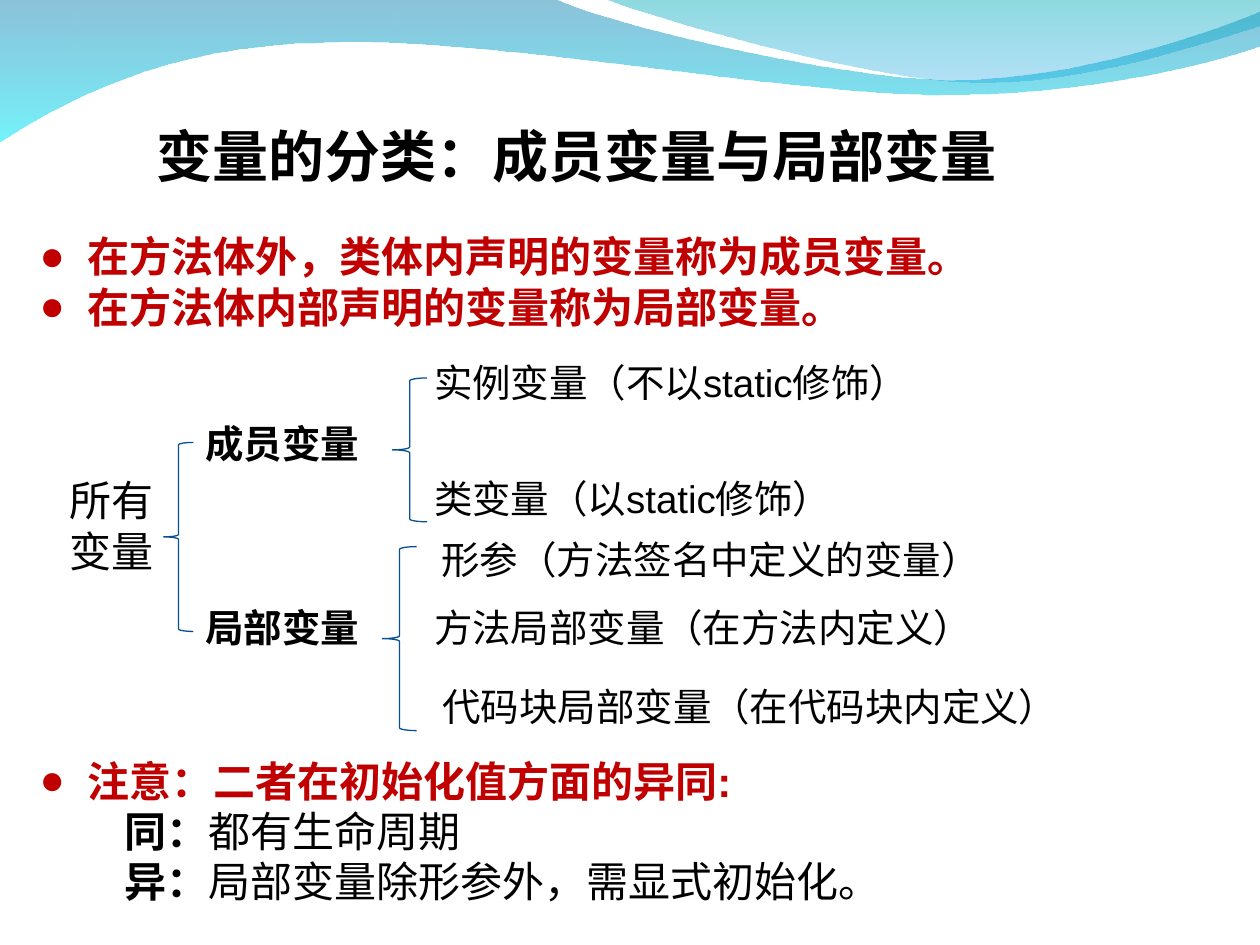
"""Build a slide that sorts variables into member and local variables."""
from dataclasses import dataclass
from typing import NamedTuple

from lxml.etree import SubElement
from pptx import Presentation
from pptx.dml.color import RGBColor
from pptx.enum.shapes import MSO_SHAPE
from pptx.oxml.ns import qn
from pptx.util import Cm, Pt

BLACK, RED, BLUE = "000000", "C00000", "065093"
FONT = "Arial"


class Span(NamedTuple):
    text: str
    bold: bool = False
    color: str = BLACK


@dataclass
class Line:
    spans: list[Span]
    bullet: bool = False
    indent: float = 0
    before: float = 0


@dataclass
class TextBlock:
    left: float
    top: float
    width: float
    height: float
    size: float
    lines: list[Line]


class Brace(NamedTuple):
    left: float
    top: float
    width: float
    height: float


class Stop(NamedTuple):
    color: str
    opacity: int


@dataclass
class Wave:
    start: tuple
    segments: list[tuple]
    stops: list[Stop]


def label(left: float, top: float, width: float, text: str, bold: bool = False) -> TextBlock:
    return TextBlock(left, top, width, 1.19, 22, [Line([Span(text, bold)])])


def bullet(text: str, before: float = 0) -> Line:
    return Line([Span(text, True, RED)], bullet=True, before=before)


def remark(head: str, text: str) -> Line:
    return Line([Span(head, True), Span(text)], indent=1.72)


WAVES = [
    Wave((0, -0.03), [
        ((11.18, -0.03),),
        ((12.09, 0.43), (16.87, 1.6), (19.25, 1.6)),
        ((21.67, 1.6), (24.33, 0.66), (25.4, 0.23)),
        ((25.43, 0.91),),
        ((24.97, 1.12), (22.1, 1.93), (18.95, 1.91)),
        ((15.8, 1.91), (9.7, 0.71), (6.53, 0.86)),
        ((3.28, 0.89), (1.17, 2.11), (-0.03, 2.87)),
        ((0, -0.03),),
    ], [Stop("0079AF", 45), Stop("00EBF8", 55)]),
    Wave((12.17, -0.03), [
        ((12.93, 0.28), (17.32, 1.57), (19.53, 1.65)),
        ((21.74, 1.75), (24.41, 0.81), (25.4, 0.53)),
        ((25.4, 0),),
        ((12.17, -0.03),),
    ], [Stop("00ADB6", 45), Stop("009BE5", 30)]),
]

BRACES = [
    Brace(3.3, 8.92, 0.6, 3.81),
    Brace(7.91, 7.62, 0.7, 2.9),
    Brace(7.71, 11.02, 0.69, 3.71),
]

TEXTS = [
    TextBlock(2.9, 2.32, 20.4, 1.63, 32, [Line([Span("变量的分类：成员变量与局部变量", True)])]),
    TextBlock(0.55, 4.53, 23.22, 13.89, 24, [
        bullet("在方法体外，类体内声明的变量称为成员变量。"),
        bullet("在方法体内部声明的变量称为局部变量。"),
        bullet("注意：二者在初始化值方面的异同:", before=242),
        remark("同：", "都有生命周期"),
        remark("异：", "局部变量除形参外，需显式初始化。"),
    ]),
    label(3.89, 8.34, 4.19, "成员变量", True),
    label(3.89, 12.05, 4.19, "局部变量", True),
    label(8.5, 7.11, 12.6, "实例变量（不以static修饰）"),
    label(8.5, 9.45, 12.6, "类变量（以static修饰）"),
    label(8.65, 10.68, 12.6, "形参（方法签名中定义的变量）"),
    label(8.5, 12.05, 12.6, "方法局部变量（在方法内定义）"),
    label(8.67, 13.64, 13.64, "代码块局部变量（在代码块内定义）"),
    TextBlock(1.15, 9.45, 2.34, 2.29, 24, [Line([Span("所有")]), Line([Span("变量")])]),
]


def paint(color_format, value: str) -> None:
    color_format.rgb = RGBColor.from_string(value)


def bend(shape, segments: list[tuple]) -> None:
    steps = iter(list(shape.element.iter(qn("a:lnTo"))))
    for segment in segments:
        first, *others = [next(steps) for _ in segment]
        if others:
            first.tag = qn("a:cubicBezTo")
        for step in others:
            first.append(step[0])
            step.getparent().remove(step)


def draw_wave(page, wave: Wave) -> None:
    points = [(Cm(x), Cm(y)) for segment in wave.segments for x, y in segment]
    builder = page.shapes.build_freeform(*map(Cm, wave.start))
    builder.add_line_segments(points, close=True)
    shape = builder.convert_to_shape()
    bend(shape, wave.segments)
    shape.shadow.inherit = False
    shape.line.fill.background()
    shape.fill.gradient()
    shape.fill.gradient_angle = 270
    for position, (target, stop) in enumerate(zip(shape.fill.gradient_stops, wave.stops)):
        target.position = position
        paint(target.color, stop.color)
    colors = shape.element.spPr.iter(qn("a:srgbClr"))
    for color, stop in zip(list(colors), wave.stops):
        SubElement(color, qn("a:alpha"), val=str(stop.opacity * 1000))


def draw_brace(page, brace: Brace) -> None:
    shape = page.shapes.add_shape(MSO_SHAPE.LEFT_BRACE, *map(Cm, brace))
    shape.shadow.inherit = False
    shape.fill.background()
    paint(shape.line.color, BLUE)
    shape.line.width = Pt(0.75)


def format_line(para, line: Line) -> None:
    properties = para._p.get_or_add_pPr()
    if line.bullet:
        properties.set("marL", str(Cm(0.96)))
        properties.set("indent", str(Cm(-0.96)))
        color = SubElement(properties, qn("a:buClr"))
        SubElement(color, qn("a:srgbClr"), val=RED)
        SubElement(properties, qn("a:buFont"), typeface=FONT)
        SubElement(properties, qn("a:buChar"), char="●")
    elif line.indent:
        properties.set("marL", str(Cm(line.indent)))
    if line.before:
        para.space_before = Pt(line.before)


def draw_text(page, block: TextBlock) -> None:
    box = page.shapes.add_textbox(*map(Cm, (block.left, block.top, block.width, block.height)))
    frame = box.text_frame
    frame.word_wrap = True
    for number, line in enumerate(block.lines):
        para = frame.add_paragraph() if number else frame.paragraphs[0]
        format_line(para, line)
        for span in line.spans:
            run = para.add_run()
            run.text = span.text
            run.font.name = FONT
            run.font.size = Pt(block.size)
            run.font.bold = span.bold
            paint(run.font.color, span.color)


def main() -> None:
    deck = Presentation()
    deck.slide_width, deck.slide_height = Cm(25.4), Cm(19.05)
    page = deck.slides.add_slide(deck.slide_layouts[6])
    for draw, items in ((draw_wave, WAVES), (draw_brace, BRACES), (draw_text, TEXTS)):
        for item in items:
            draw(page, item)
    deck.save("out.pptx")


if __name__ == "__main__":
    main()
